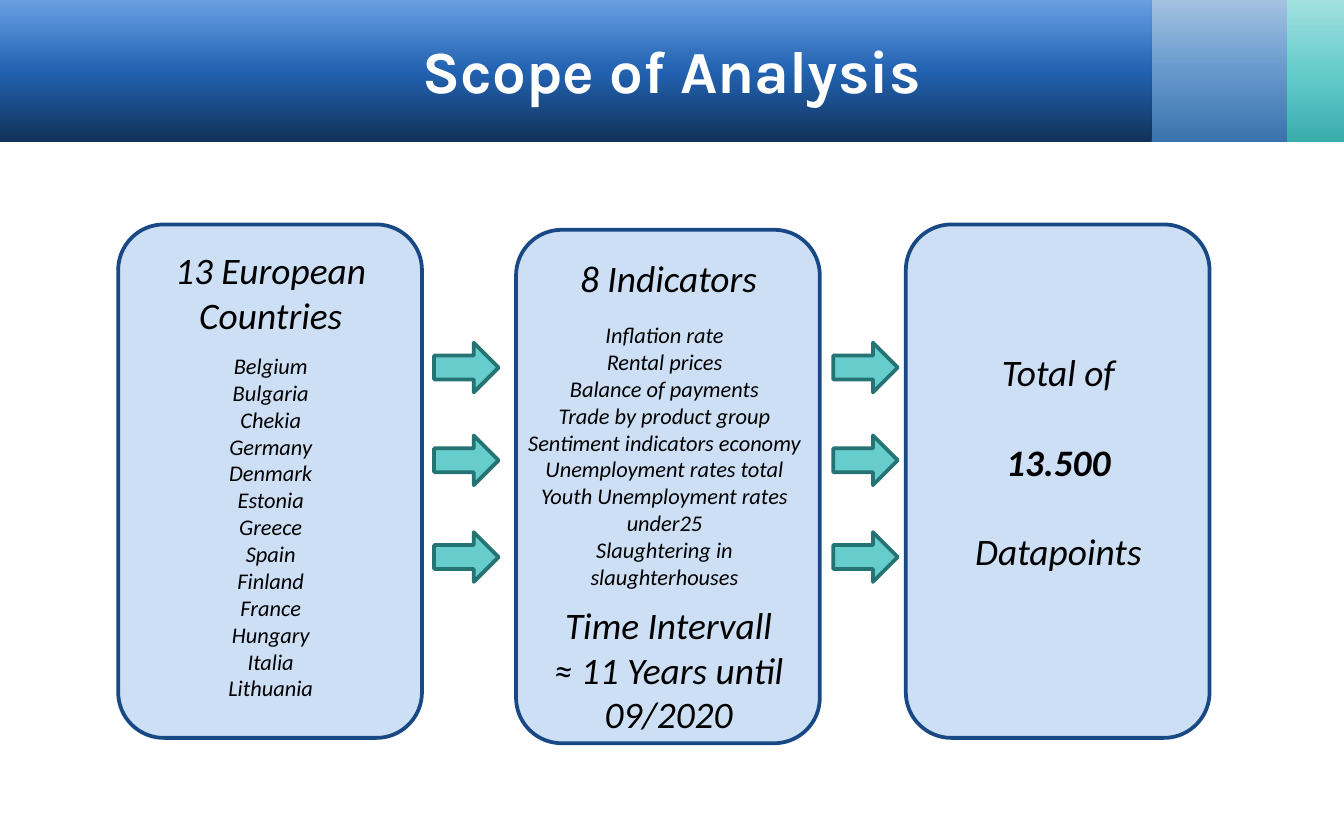
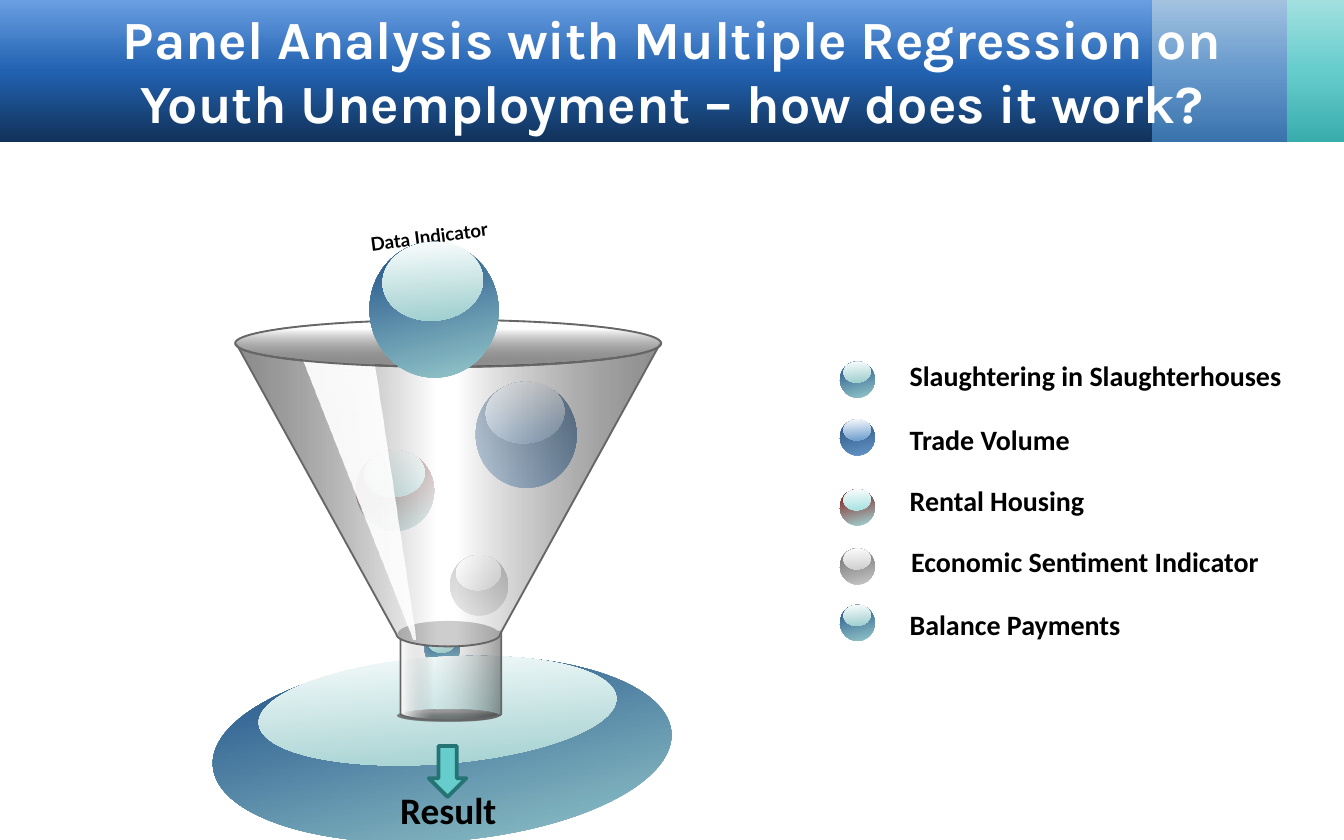
"""Builds two slides: the scope of a panel analysis and a funnel explaining it."""
import math

from lxml import etree
from pptx import Presentation, util as u
from pptx.dml.color import RGBColor
from pptx.enum import shapes, text
from pptx.oxml import ns

PX = 9144
FINE = 24
KIND = shapes.MSO_SHAPE


class Theme:
    body, title, label = "Calibri", "Karla", "Lato"
    black, white = "000000", "FFFFFF"
    panel, panel_line = "CDDFF5", "194985"
    arrow, arrow_line = "66CCCC", "267373"
    grey = "666666"
    sea = ("99CCCC", "194985")
    blue = ("6699CC", "264C73")
    rose = ("A3E0E0", "800000")
    silver = ("CCCCCC", "666666")
    head, legend, item, small = 20, 15, 12, 10
    bands = (
        (943, 58, ("39ACAC", "66CCCC", "A3E0E0")),
        (853, 105, ("3973AC", "6699CC", "A3C2E0")),
        (0, 857, ("113158", "2262B1", "699FE2")),
    )


def write(s, lines, box, size=Theme.head, font=Theme.body, color=Theme.black,
          bold=False, italic=False, align="CENTER", anchor="TOP", top=5, gap=0, rot=0):
    tb = s.shapes.add_textbox(*(v * PX for v in box))
    tb.rotation = rot
    tf = tb.text_frame
    tf.word_wrap = True
    tf.margin_top = top * PX
    tf.vertical_anchor = getattr(text.MSO_ANCHOR, anchor)
    for i, line in enumerate(lines):
        p = tf.paragraphs[0] if i == 0 else tf.add_paragraph()
        p.alignment = getattr(text.PP_ALIGN, align)
        if i and gap:
            p.space_before = u.Pt(gap)
        r = p.add_run()
        r.text = line
        r.font.size, r.font.name = u.Pt(size), font
        r.font.bold, r.font.italic = bold, italic
        r.font.color.rgb = RGBColor.from_string(color)
    return tf


def draw(s, kind, outline, fill, ang=90, line=None, width=1, rot=0, adj=()):
    """Draw a preset in a box, or a polygon if kind is None; a list fill is (pos, colour, alpha) stops."""
    if kind is None:
        pts = [(x * FINE, y * FINE) for x, y in outline]
        pen = s.shapes.build_freeform(*pts[0], scale=PX / FINE)
        pen.add_line_segments(pts[1:], close=True)
        sp = pen.convert_to_shape()
    else:
        sp = s.shapes.add_shape(kind, *(round(v * PX) for v in outline))
    sp.shadow.inherit = False
    sp.rotation = rot
    for i, value in enumerate(adj):
        sp.adjustments[i] = value
    if isinstance(fill, str):
        sp.fill.solid()
        sp.fill.fore_color.rgb = RGBColor.from_string(fill)
    else:
        grad = etree.Element(ns.qn("a:gradFill"), rotWithShape="1")
        stops = etree.SubElement(grad, ns.qn("a:gsLst"))
        for pos, color, alpha in fill:
            gs = etree.SubElement(stops, ns.qn("a:gs"), pos=str(pos * 1000))
            clr = etree.SubElement(gs, ns.qn("a:srgbClr"), val=color)
            etree.SubElement(clr, ns.qn("a:alpha"), val=str(alpha * 1000))
        etree.SubElement(grad, ns.qn("a:lin"), ang=str(ang * 60000), scaled="0")
        sp._element.spPr.insert(2, grad)
    if line:
        sp.line.color.rgb = RGBColor.from_string(line)
        sp.line.width = u.Pt(width)
    else:
        sp.line.fill.background()


prs = Presentation()
prs.slide_width, prs.slide_height = 1000 * PX, 625 * PX
ARROW = dict(fill=Theme.arrow, line=Theme.arrow_line, width=2, adj=(0.48, 0.5))

slides = []
for title, size in (
    ("Scope of Analysis", 32),
    ("Panel Analysis with Multiple Regression on Youth Unemployment – how does it work?", 28.8),
):
    s = prs.slides.add_slide(prs.slide_layouts[6])
    for x, w, colors in Theme.bands:
        stops = [(pos, c, 100) for pos, c in zip((0, 50, 100), colors)]
        draw(s, KIND.RECTANGLE, (x, 0, w, 106), stops, ang=270)
    write(s, [title], (50, 8, 900, 88), size=size, font=Theme.title,
          color=Theme.white, bold=True, anchor="MIDDLE")
    slides.append(s)
scope, funnel = slides

for x, y in ((384, 171), (674, 167), (88, 167)):
    draw(scope, KIND.ROUNDED_RECTANGLE, (x, y, 226, 382), Theme.panel,
         line=Theme.panel_line, width=2, adj=(0.15,))
for x in (323, 620):
    for y in (255, 324, 396):
        draw(scope, KIND.RIGHT_ARROW, (x, y, 48, 37), **ARROW)

countries = ["Belgium", "Bulgaria", "Chekia", "Germany", "Denmark", "Estonia", "Greece",
             "Spain", "Finland", "France", "Hungary", "Italia", "Lithuania"]
indicators = ["Inflation rate", "Rental prices", "Balance of payments",
              "Trade by product group", "Sentiment indicators economy",
              "Unemployment rates total", "Youth Unemployment rates under25",
              "Slaughtering in slaughterhouses"]
for lines, box, size in (
    (["13 European", "Countries"], (101, 179, 201, 77), Theme.head),
    (countries, (90, 257, 223, 273), Theme.item),
    (["8 Indicators"], (397, 185, 201, 44), Theme.head),
    (["Time Intervall", "≈ 11 Years until 09/2020"], (397, 443, 201, 111), Theme.head),
    (indicators, (383, 234, 223, 212), Theme.item),
):
    write(scope, lines, box, size=size, italic=True)
total = write(scope, ["Total of", "13.500", "Datapoints"], (687, 255, 201, 178),
              italic=True, gap=24)
total.paragraphs[1].runs[0].font.bold = True

write(funnel, ["Data Indicator"], (254, 162, 146, 146), size=Theme.small,
      font=Theme.label, bold=True, rot=352.6)

spout_ball = (316, 470, 26, 27, Theme.sea)
result_disc = (158, 489, 342, 137, Theme.sea)
inner_balls = [(354, 284, 75, 79, Theme.blue), (265, 335, 58, 60, Theme.rose),
               (335, 413, 43, 45, Theme.silver)]
top_ball = (275, 180, 96, 101, Theme.sea)
legend = [
    ("Slaughtering in Slaughterhouses", 667, 257, 307, 40, 269, Theme.sea),
    ("Trade Volume", 667, 304, 189, 40, 312, Theme.blue),
    ("Rental Housing", 667, 350, 189, 40, 364, Theme.rose),
    ("Economic Sentiment Indicator", 668, 395, 282, 40, 408, Theme.silver),
    ("Balance Payments", 667, 447, 279, 35, 450, Theme.sea),
]
legend_balls = [(625, row[5], 26, 27, row[6]) for row in legend]

rim, neck, foot = (
    [(cx + rx * math.cos(math.pi * t / 24), cy + ry * math.sin(math.pi * t / 24))
     for t in range(25)]
    for cx, cy, rx, ry in ((333.5, 256, 157.5, 17), (333.5, 472, 38.5, 9), (335.5, 531, 37.5, 5))
)
white, black, grey = Theme.white, Theme.black, Theme.grey
funnel_parts = [
    (KIND.OVAL, (296, 528, 75, 9), [(20, "999999", 100), (100, black, 43)], 90, None),
    (None, [(298, 470), (373, 470)] + foot,
     [(0, white, 100), (33, "A6A6A6", 0), (100, black, 39)], 0, grey),
    (KIND.OVAL, (296, 462, 75, 19), grey, 90, None),
    (None, rim + neck[::-1],
     [(0, black, 44), (48, white, 67), (53, white, 67), (100, black, 45)], 180, grey),
    (None, [(225, 267), (307, 476), (309, 476), (278, 270)],
     [(0, white, 93), (100, white, 88)], 90, None),
    (KIND.OVAL, (175, 238, 317, 35), [(20, white, 100), (100, black, 43)], 90, grey),
]

for balls, parts in (
    ([spout_ball, *legend_balls, result_disc, *inner_balls], funnel_parts),
    ([top_ball], []),
):
    for x, y, w, h, (light, dark) in balls:
        draw(funnel, KIND.OVAL, (x, y, w, h), [(0, light, 100), (100, dark, 100)],
             ang=260, rot=355.8)
        draw(funnel, KIND.OVAL, (x + 0.1 * w, y, 0.78 * w, 0.58 * h),
             [(0, white, 100), (100, light, 100)], rot=355.8)
    for kind, outline, fill, ang, line in parts:
        draw(funnel, kind, outline, fill, ang=ang, line=line)

draw(funnel, KIND.RIGHT_ARROW, (314, 560, 38, 28), rot=90, **ARROW)
write(funnel, ["Result"], (239, 581, 189, 44), bold=True)
for label, x, y, w, h, _, _ in legend:
    write(funnel, [label], (x, y, w, h), size=Theme.legend, bold=True,
          align="LEFT", anchor="MIDDLE", top=h - 30)

prs.save("out.pptx")
